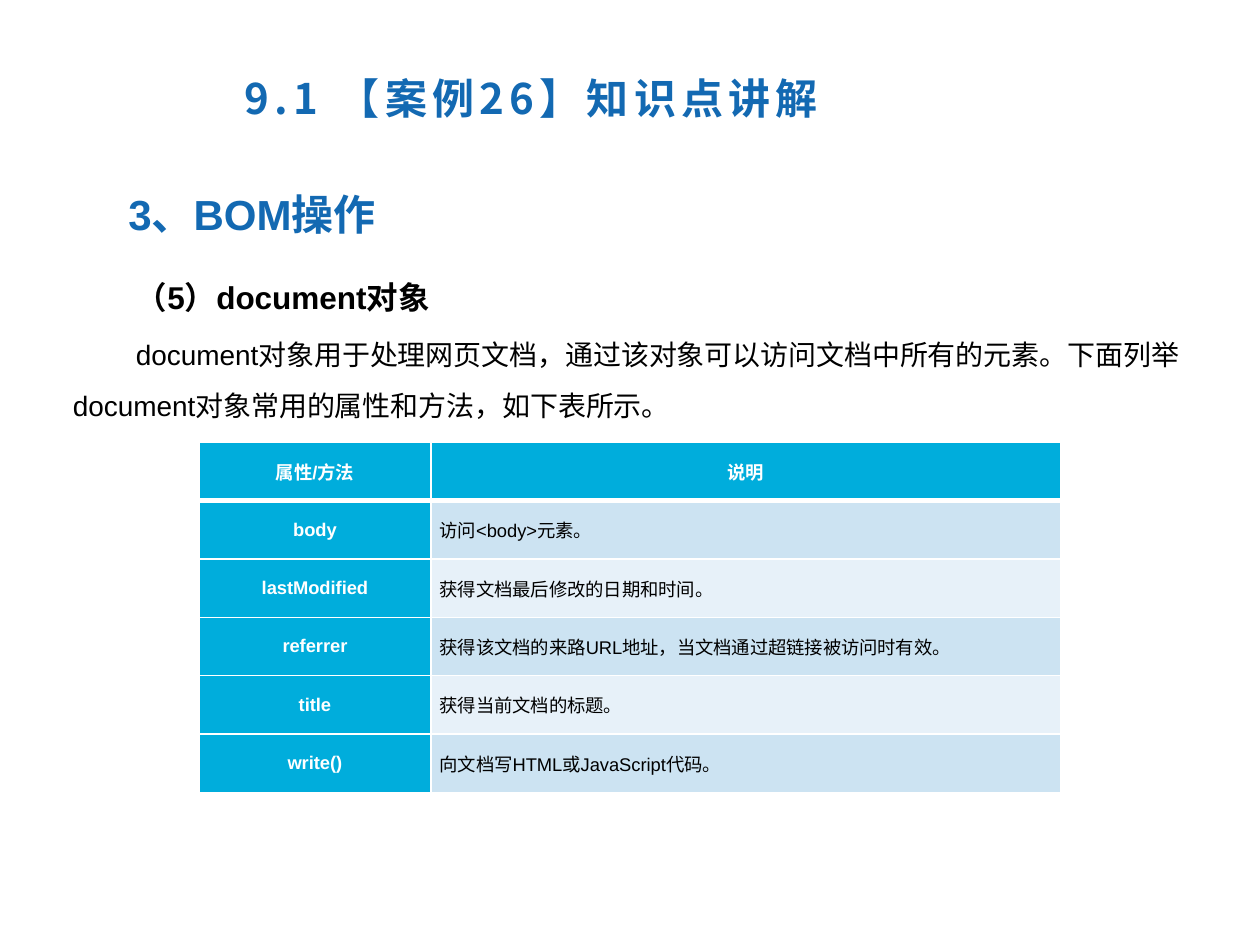
from lxml import etree
from pptx import Presentation
from pptx.dml.color import RGBColor
from pptx.enum.text import MSO_ANCHOR, PP_ALIGN
from pptx.oxml.ns import qn
from pptx.util import Inches, Pt

CENTER, LEFT = PP_ALIGN.CENTER, PP_ALIGN.LEFT
MIDDLE = MSO_ANCHOR.MIDDLE
BLUE, CYAN, WHITE, BLACK = "1369B2", "00ADDC", "FFFFFF", "000000"
BANDS = ("CCE3F2", "E7F1F9")
LATIN, CJK = "Arial", "Noto Sans CJK SC"
ROWS = [
    ("属性/方法", "说明"),
    ("body", "访问<body>元素。"),
    ("lastModified", "获得文档最后修改的日期和时间。"),
    ("referrer", "获得该文档的来路URL地址，当文档通过超链接被访问时有效。"),
    ("title", "获得当前文档的标题。"),
    ("write()", "向文档写HTML或JavaScript代码。"),
]


def rgb(value):
    """Turn a hex string into a colour."""
    return RGBColor.from_string(value)


def style_text(p, size, color, bold=True, font=LATIN, spacing=0):
    """Format every run of a paragraph."""
    for r in p.runs:
        r.font.size = Pt(size)
        r.font.bold = bold
        r.font.name = font
        r.font.color.rgb = rgb(color)
        rPr = r.font._element
        etree.SubElement(rPr, qn("a:ea")).set("typeface", CJK)
        if spacing:
            rPr.set("spc", str(spacing * 100))


def indent_first(p, inches):
    """Indent the first line of a paragraph."""
    pPr = p._p.get_or_add_pPr()
    pPr.set("marL", "0")
    pPr.set("indent", str(Inches(inches)))


def add_text(slide, x, y, w, h, text):
    """Add a wrapping text box and return its paragraphs."""
    tf = slide.shapes.add_textbox(Inches(x), Inches(y), Inches(w), Inches(h)).text_frame
    tf.word_wrap = True
    tf.text = text
    return tf.paragraphs


def add_body(slide):
    """Add the subheading and the explanation below it."""
    paragraphs = add_text(
        slide, 0.48, 2.05, 9, 1.4,
        "（5）document对象\n"
        "document对象用于处理网页文档，通过该对象可以访问文档中所有的元素。"
        "下面列举document对象常用的属性和方法，如下表所示。")
    for p, size, bold, spacing in zip(paragraphs, (18, 16), (True, False), (1.35, 1.5)):
        indent_first(p, 0.5)
        p.line_spacing = spacing
        p.space_before = Pt(size * 0.2)
        style_text(p, size, BLACK, bold)


def set_borders(cell, top, bottom):
    """Draw white borders around a cell."""
    tcPr = cell._tc.get_or_add_tcPr()
    for i, (side, width) in enumerate((("L", 1), ("R", 1), ("T", top), ("B", bottom))):
        ln = etree.Element(qn(f"a:ln{side}"), w=str(Pt(width)))
        fill = etree.SubElement(ln, qn("a:solidFill"))
        etree.SubElement(fill, qn("a:srgbClr")).set("val", WHITE)
        tcPr.insert(i, ln)


def fill_cell(cell, text, row, col):
    """Write and format one table cell."""
    accent = row == 0 or col == 0
    cell.text = text
    cell.vertical_anchor = MIDDLE
    cell.margin_left = cell.margin_right = Inches(0.07)
    cell.margin_top = cell.margin_bottom = 0
    cell.fill.solid()
    cell.fill.fore_color.rgb = rgb(CYAN if accent else BANDS[(row - 1) % 2])
    set_borders(cell, 3 if row == 1 else 1, 3 if row == 0 else 1)
    p = cell.text_frame.paragraphs[0]
    p.alignment = CENTER if accent else LEFT
    style_text(p, 10.5, WHITE if accent else BLACK, accent)


def add_member_table(slide):
    """Add the table of document members."""
    table = slide.shapes.add_table(
        len(ROWS), 2, Inches(1.58), Inches(3.51), Inches(6.84), Inches(2.78)).table
    table.columns[0].width = Inches(1.84)
    table.columns[1].width = Inches(5)
    for row, texts in enumerate(ROWS):
        for col, text in enumerate(texts):
            fill_cell(table.cell(row, col), text, row, col)


def main():
    """Build and save the slide."""
    prs = Presentation()
    prs.slide_width, prs.slide_height = Inches(10), Inches(7.5)
    slide = prs.slides.add_slide(prs.slide_layouts[6])
    title = add_text(slide, 1.84, 0.53, 8.1, 0.79, "9.1 【案例26】知识点讲解")[0]
    style_text(title, 24, BLUE, font=CJK, spacing=3)
    add_body(slide)
    heading = add_text(slide, 0.42, 1.45, 7.16, 0.5, "3、BOM操作")[0]
    indent_first(heading, 0.5)
    style_text(heading, 24, BLUE)
    add_member_table(slide)
    prs.save("out.pptx")


if __name__ == "__main__":
    main()
